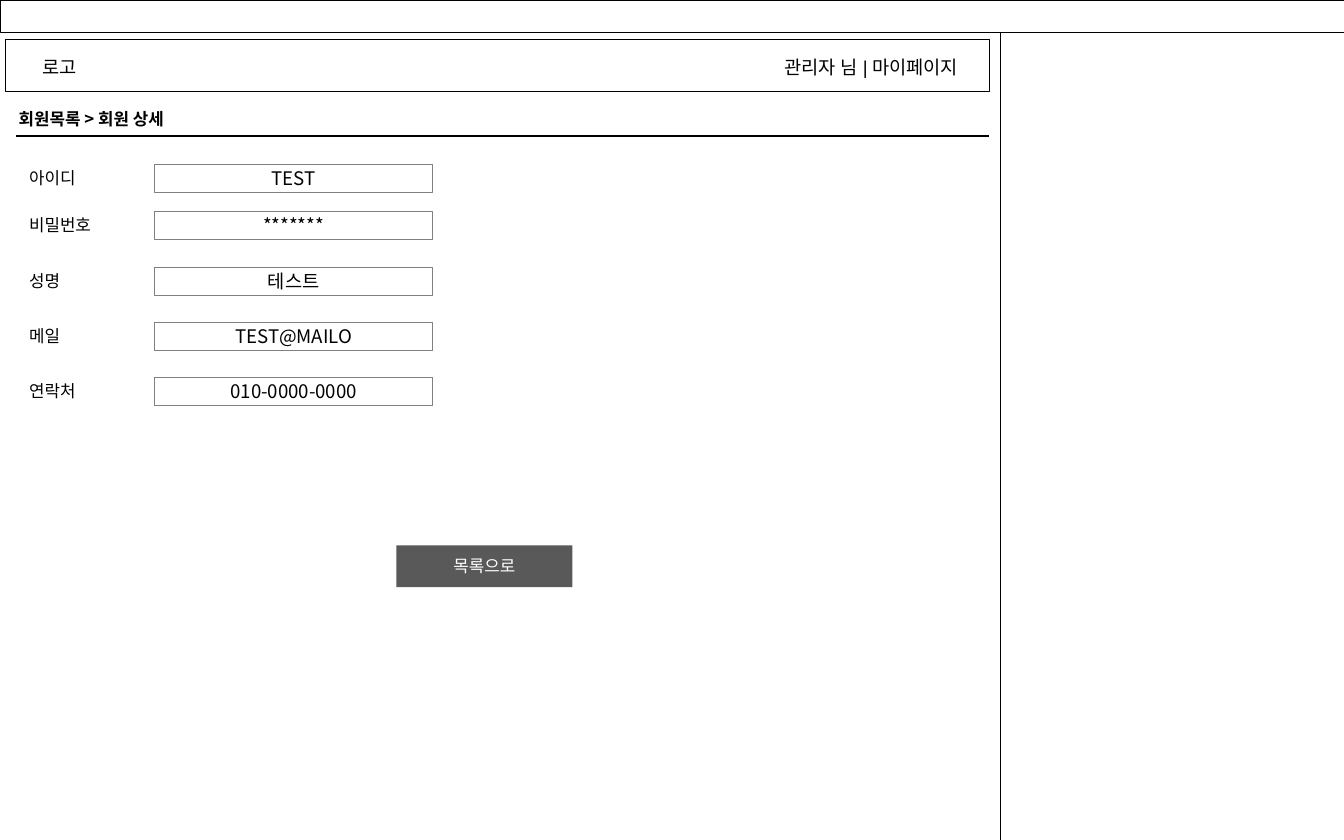
from lxml import etree
from pptx import Presentation
from pptx.dml.color import RGBColor
from pptx.enum.shapes import MSO_CONNECTOR, MSO_SHAPE
from pptx.enum.text import MSO_ANCHOR, MSO_AUTO_SIZE, PP_ALIGN
from pptx.oxml.ns import qn
from pptx.util import Cm, Pt

BLACK = RGBColor(0x00, 0x00, 0x00)
WHITE = RGBColor(0xFF, 0xFF, 0xFF)
FIELD_GRAY = RGBColor(0x80, 0x80, 0x80)
BUTTON_GRAY = RGBColor(0x59, 0x59, 0x59)
KOREAN_FONT = "Noto Sans CJK KR"
HEADER_FONT = "Arial"
LEFT, CENTER = PP_ALIGN.LEFT, PP_ALIGN.CENTER
TOP, MIDDLE = MSO_ANCHOR.TOP, MSO_ANCHOR.MIDDLE
RECTANGLE = MSO_SHAPE.RECTANGLE
STRAIGHT = MSO_CONNECTOR.STRAIGHT
GROW = MSO_AUTO_SIZE.SHAPE_TO_FIT_TEXT
NO_FIT = MSO_AUTO_SIZE.NONE
TITLE_ONLY = 5

SLIDE_WIDTH, SLIDE_HEIGHT = 25.4, 15.88
BAR_HEIGHT = 0.61
PANEL_LEFT = 18.9
CONTENT_RIGHT = 18.69
FIELD_TOP, PASSWORD_TOP, NAME_TOP, ROW_STEP = 3.1, 3.99, 5.05, 1.04
FIELD_LEFT, FIELD_WIDTH, FIELD_HEIGHT = 2.92, 5.26, 0.53
LABEL_LEFT, LABEL_RISE = 0.3, 0.06
MEMBER = [
    ("아이디", "TEST"),
    ("비밀번호", "*******"),
    ("성명", "테스트"),
    ("메일", "TEST@MAILO"),
    ("연락처", "010-0000-0000"),
]


def write_text(shape, text, size=9, font=KOREAN_FONT, color=BLACK, bold=False,
               align=LEFT, anchor=TOP, wrap=False, fit=GROW):
    """Put one formatted line of text into a shape."""
    frame = shape.text_frame
    frame.word_wrap = wrap
    frame.auto_size = fit
    frame.vertical_anchor = anchor
    paragraph = frame.paragraphs[0]
    paragraph.alignment = align
    run = paragraph.add_run()
    run.text = text
    run.font.size = Pt(size)
    run.font.bold = bold
    run.font.color.rgb = color
    run.font.name = font
    etree.SubElement(run.font._element, qn("a:ea")).set("typeface", font)


def add_box(slide, left, top, width, height, fill=WHITE, border=BLACK):
    """Add a flat rectangle with an optional hairline border."""
    box = slide.shapes.add_shape(RECTANGLE, Cm(left), Cm(top), Cm(width), Cm(height))
    box.shadow.inherit = False
    box.fill.solid()
    box.fill.fore_color.rgb = fill
    if border is None:
        box.line.fill.background()
    else:
        box.line.color.rgb = border
        box.line.width = Pt(0.25)
    return box


def add_label(slide, text, left, top, width, height=0.64, **text_format):
    """Add a text box holding one line."""
    label = slide.shapes.add_textbox(Cm(left), Cm(top), Cm(width), Cm(height))
    write_text(label, text, **text_format)


def add_rule(slide, left, right, top):
    """Add a thin horizontal line."""
    rule = slide.shapes.add_connector(STRAIGHT, Cm(left), Cm(top), Cm(right), Cm(top))
    rule.line.color.rgb = BLACK
    rule.line.width = Pt(0.75)
    etree.SubElement(rule._element.spPr, qn("a:effectLst"))


def place_breadcrumb(slide, text):
    """Move the title placeholder below the header and fill it."""
    breadcrumb = slide.shapes.title
    breadcrumb.left, breadcrumb.top = Cm(0.1), Cm(1.93)
    breadcrumb.width, breadcrumb.height = Cm(3.63), Cm(0.64)
    write_text(breadcrumb, text, bold=True)


def add_header(slide):
    """Add the site header with its logo text and user menu."""
    add_box(slide, 0.1, 0.74, CONTENT_RIGHT - 0.1, 0.99)
    header_format = {"height": 0.69, "size": 10, "font": HEADER_FONT, "align": CENTER}
    add_label(slide, "로고", 0.51, 0.94, 1.22, **header_format)
    add_label(slide, "관리자 님 | 마이페이지", 14.38, 0.94, 4.17, **header_format)


def add_member_form(slide):
    """Add a label and a field for each member detail."""
    tops = [FIELD_TOP, PASSWORD_TOP] + [NAME_TOP + ROW_STEP * i for i in range(3)]
    for (caption, value), top in zip(MEMBER, tops):
        caption_width = 0.48 + 0.33 * len(caption)
        add_label(slide, caption, LABEL_LEFT, top - LABEL_RISE, caption_width)
        field = add_box(slide, FIELD_LEFT, top, FIELD_WIDTH, FIELD_HEIGHT, border=FIELD_GRAY)
        write_text(field, value, size=10, align=CENTER, anchor=MIDDLE, wrap=True, fit=NO_FIT)


def main():
    """Build the member detail screen and save it."""
    deck = Presentation()
    deck.slide_width, deck.slide_height = Cm(SLIDE_WIDTH), Cm(SLIDE_HEIGHT)
    slide = deck.slides.add_slide(deck.slide_layouts[TITLE_ONLY])
    add_box(slide, PANEL_LEFT, 0, SLIDE_WIDTH - PANEL_LEFT, SLIDE_HEIGHT)
    add_box(slide, 0, 0, SLIDE_WIDTH, BAR_HEIGHT)
    add_header(slide)
    place_breadcrumb(slide, "회원목록 > 회원 상세")
    add_rule(slide, 0.3, CONTENT_RIGHT, 2.57)
    add_member_form(slide)
    list_button = add_box(slide, 7.49, 10.31, 3.33, 0.79, fill=BUTTON_GRAY, border=None)
    write_text(list_button, "목록으로", color=WHITE, align=CENTER, anchor=MIDDLE,
               wrap=True, fit=NO_FIT)
    deck.save("out.pptx")


if __name__ == "__main__":
    main()
